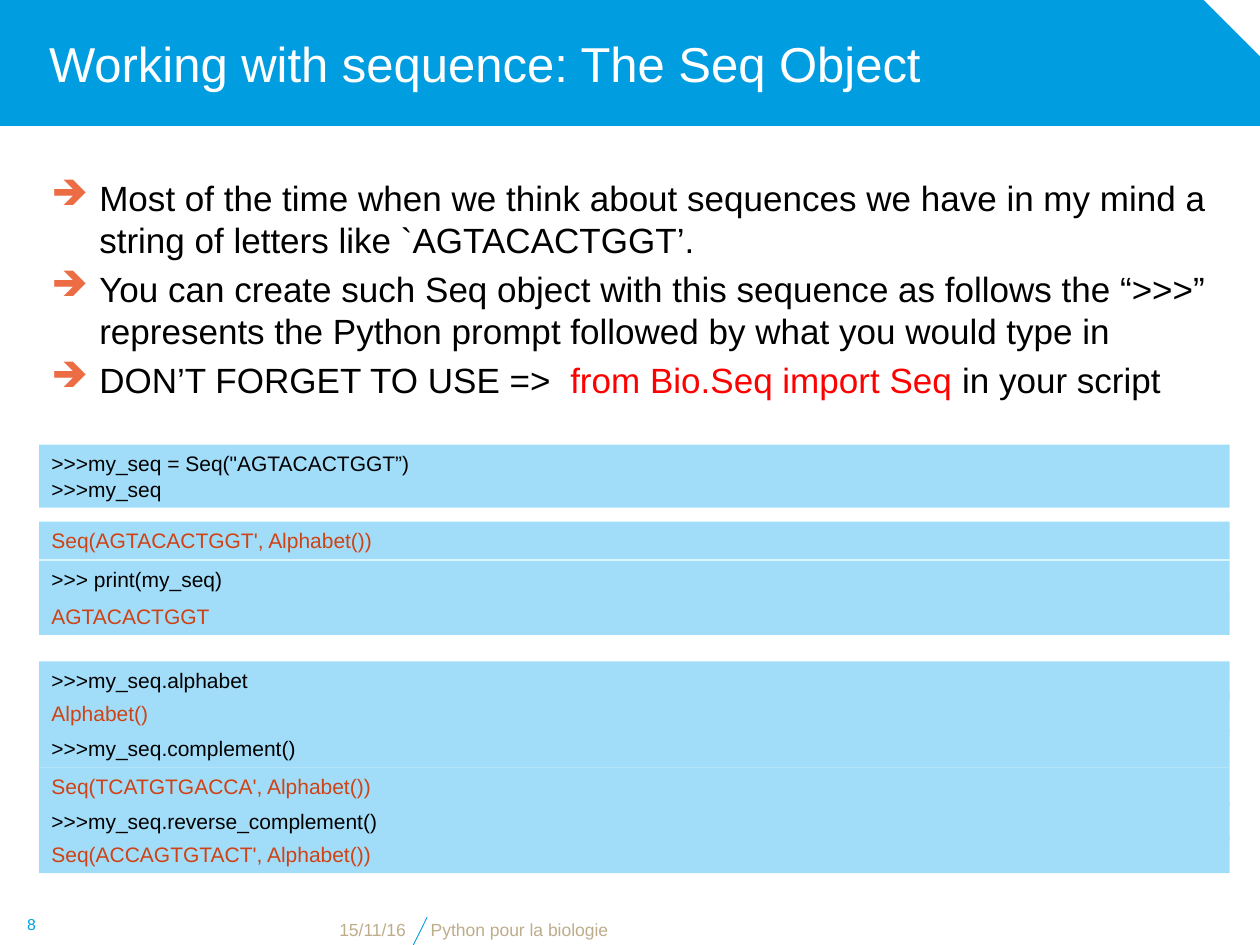
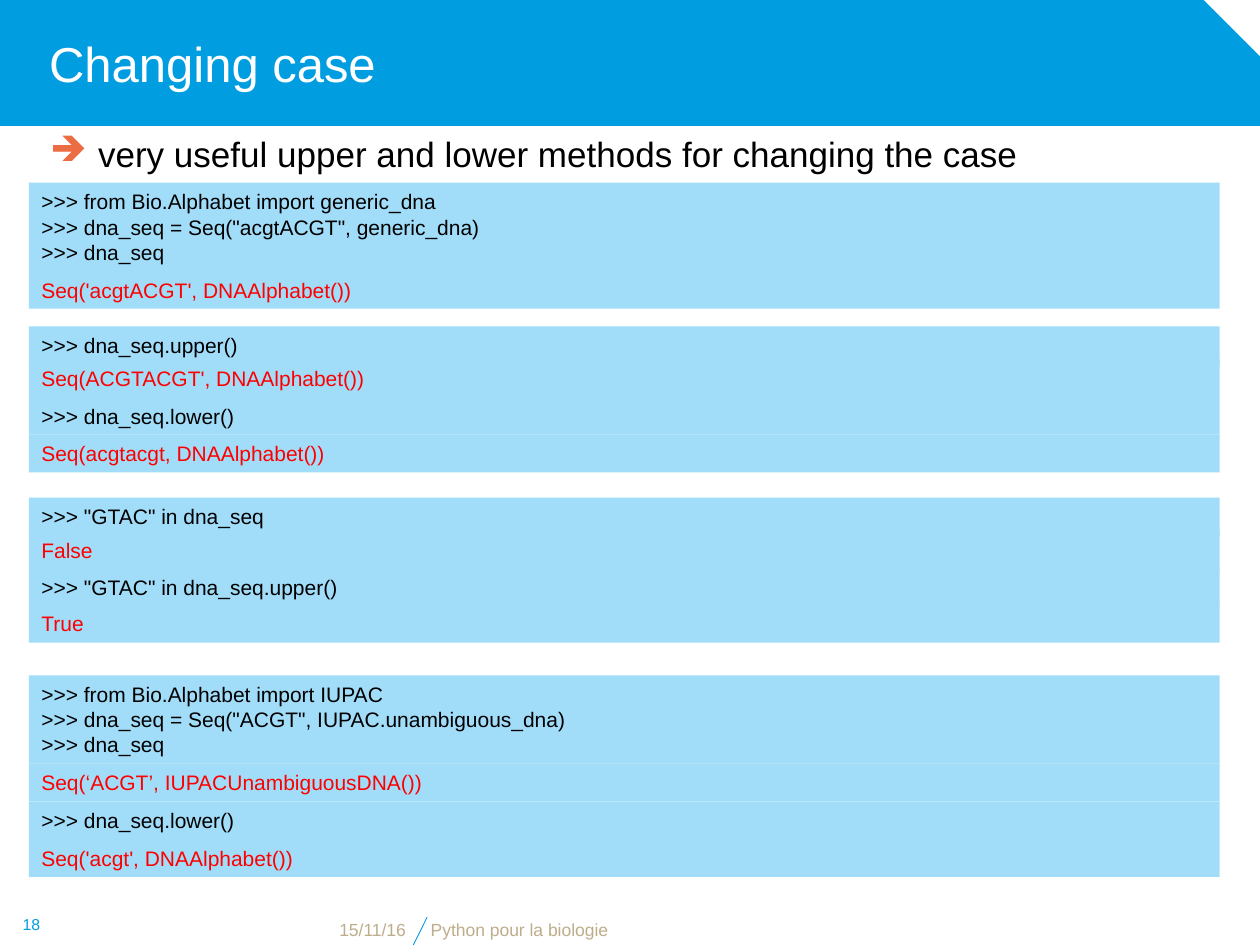
"""Build two slides on Biopython sequence objects."""
from lxml import etree
from pptx import Presentation
from pptx.dml.color import RGBColor
from pptx.enum.shapes import MSO_CONNECTOR, MSO_SHAPE
from pptx.enum.text import MSO_ANCHOR, MSO_AUTO_SIZE, PP_ALIGN
from pptx.oxml.ns import qn
from pptx.util import Inches, Pt

RECTANGLE, SNIPPED = MSO_SHAPE.RECTANGLE, MSO_SHAPE.SNIP_1_RECTANGLE
STRAIGHT = MSO_CONNECTOR.STRAIGHT
TOP, MIDDLE, BOTTOM = MSO_ANCHOR.TOP, MSO_ANCHOR.MIDDLE, MSO_ANCHOR.BOTTOM
LEFT, CENTER, RIGHT = PP_ALIGN.LEFT, PP_ALIGN.CENTER, PP_ALIGN.RIGHT
NO_FIT, GROW = MSO_AUTO_SIZE.NONE, MSO_AUTO_SIZE.SHAPE_TO_FIT_TEXT

BLUE = RGBColor(0x00, 0x9D, 0xE0)
PALE_BLUE = RGBColor(0xA1, 0xDD, 0xF9)
WHITE = RGBColor(0xFF, 0xFF, 0xFF)
BLACK = RGBColor(0x00, 0x00, 0x00)
RED = RGBColor(0xFF, 0x00, 0x00)
RUST = RGBColor(0xCE, 0x42, 0x15)
SAND = RGBColor(0xBE, 0xAD, 0x8A)
ORANGE = RGBColor(0xEC, 0x6C, 0x43)

FONT = "Arial"
BODY_WIDTH = 9.45
INDENT = Inches(0.38)

SLIDES = [
    {
        "title": "Working with sequence: The Seq Object",
        "number": "8",
        "body_box": (0.31, 1.35, BODY_WIDTH, 1.98),
        "bullets": [
            [("Most of the time when we think about sequences we have in my mind a "
              "string of letters like `AGTACACTGGT’.", BLACK)],
            [("You can create such Seq object with this sequence as follows the “>>>” "
              "represents the Python prompt followed by what you would type in", BLACK)],
            [("DON’T FORGET TO USE =>  ", BLACK), ("from Bio.Seq import Seq ", RED),
             ("in your script", BLACK)],
        ],
        "code_left": 0.31,
        "output_color": RUST,
        "code": [
            (3.53, [">>>my_seq = Seq(\"AGTACACTGGT”)", ">>>my_seq"]),
            (4.14, ["Seq(AGTACACTGGT', Alphabet())"]),
            (4.45, [">>> print(my_seq)"]),
            (4.74, ["AGTACACTGGT"]),
            (5.25, [">>>my_seq.alphabet"]),
            (5.51, ["Alphabet()"]),
            (5.79, [">>>my_seq.complement()"]),
            (6.09, ["Seq(TCATGTGACCA', Alphabet())"]),
            (6.37, [">>>my_seq.reverse_complement()"]),
            (6.63, ["Seq(ACCAGTGTACT', Alphabet())"]),
        ],
    },
    {
        "title": "Changing case",
        "number": "18",
        "body_box": (0.3, 1, BODY_WIDTH, 0.58),
        "bullets": [
            [("very useful upper and lower methods for changing the case", BLACK)],
        ],
        "code_left": 0.23,
        "output_color": RED,
        "code": [
            (1.45, [">>> from Bio.Alphabet import generic_dna",
                    ">>> dna_seq = Seq(\"acgtACGT\", generic_dna)", ">>> dna_seq"]),
            (2.15, ["Seq('acgtACGT', DNAAlphabet())"]),
            (2.59, [">>> dna_seq.upper()"]),
            (2.85, ["Seq(ACGTACGT', DNAAlphabet())"]),
            (3.15, [">>> dna_seq.lower()"]),
            (3.45, ["Seq(acgtacgt, DNAAlphabet())"]),
            (3.95, [">>> \"GTAC\" in dna_seq"]),
            (4.22, ["False"]),
            (4.51, [">>> \"GTAC\" in dna_seq.upper()"]),
            (4.8, ["True"]),
            (5.36, [">>> from Bio.Alphabet import IUPAC",
                    ">>> dna_seq = Seq(\"ACGT\", IUPAC.unambiguous_dna)", ">>> dna_seq"]),
            (6.06, ["Seq(‘ACGT’, IUPACUnambiguousDNA())"]),
            (6.36, [">>> dna_seq.lower()"]),
            (6.66, ["Seq('acgt', DNAAlphabet())"]),
        ],
    },
]


def write_text(shape, paragraphs, size, alignment=LEFT, **frame_format):
    """Fill a shape with paragraphs, each a list of (text, colour) runs."""
    frame = shape.text_frame
    frame_values = {"word_wrap": True, "auto_size": NO_FIT, "vertical_anchor": TOP}
    for name, value in (frame_values | frame_format).items():
        setattr(frame, name, value)
    for index, runs in enumerate(paragraphs):
        paragraph = frame.add_paragraph() if index else frame.paragraphs[0]
        paragraph.alignment = alignment
        for text, color in runs:
            run = paragraph.add_run()
            run.text = text
            for name, value in {"name": FONT, "size": Pt(size)}.items():
                setattr(run.font, name, value)
            run.font.color.rgb = color


def add_filled(slide, kind, box, color):
    """Add a flat preset shape without outline."""
    shape = slide.shapes.add_shape(kind, *map(Inches, box))
    shape.shadow.inherit = False
    shape.fill.solid()
    shape.fill.fore_color.rgb = color
    shape.line.fill.background()
    return shape


presentation = Presentation()
presentation.slide_width = Inches(10)
presentation.slide_height = Inches(7.5)

for content in SLIDES:
    slide = presentation.slides.add_slide(presentation.slide_layouts[5])

    title = slide.shapes.title
    title_box = {"left": 0, "top": 0, "width": 9.5, "height": 1}
    for name, value in title_box.items():
        setattr(title, name, Inches(value))
    write_text(title, [[(content["title"], WHITE)]], 28, vertical_anchor=MIDDLE,
               margin_left=Inches(0.39))

    band = add_filled(slide, SNIPPED, (0, 0, 10.01, 1), BLUE)
    band.adjustments[0] = 0.458
    title.element.addprevious(band.element)

    slash = slide.shapes.add_connector(
        STRAIGHT, Inches(3.28), Inches(7.5), Inches(3.39), Inches(7.28))
    slash.line.color.rgb = BLUE
    slash.line.width = Pt(0.5)
    etree.SubElement(slash.element.spPr, qn("a:effectLst"))

    body = slide.shapes.add_textbox(*map(Inches, content["body_box"]))
    write_text(body, content["bullets"], 20)
    for paragraph in body.text_frame.paragraphs:
        paragraph.space_before = Pt(4)
        properties = paragraph._p.get_or_add_pPr()
        properties.set("marL", str(INDENT))
        properties.set("indent", str(-INDENT))
        bullet_color = etree.SubElement(properties, qn("a:buClr"))
        etree.SubElement(bullet_color, qn("a:srgbClr"), val=str(ORANGE))
        etree.SubElement(properties, qn("a:buChar"), char="➔")

    footers = [
        ("15/11/16", (0.99, 7.28, 2.33, 0.23), 10, SAND, RIGHT, BOTTOM),
        ("Python pour la biologie", (3.32, 7.28, 5.75, 0.23), 10, SAND, LEFT, BOTTOM),
        (content["number"], (0, 7.17, 0.5, 0.33), 9, BLUE, CENTER, MIDDLE),
    ]
    for text, box, size, color, alignment, anchor in footers:
        footer = slide.shapes.add_textbox(*map(Inches, box))
        write_text(footer, [[(text, color)]], size, alignment, vertical_anchor=anchor)

    for top, lines in content["code"]:
        height = 0.1 + 0.2 * len(lines)
        color = BLACK if lines[0].startswith(">>>") else content["output_color"]
        code = add_filled(
            slide, RECTANGLE, (content["code_left"], top, BODY_WIDTH, height), PALE_BLUE)
        write_text(code, [[(line, color)] for line in lines], 12, auto_size=GROW)

presentation.save("out.pptx")
